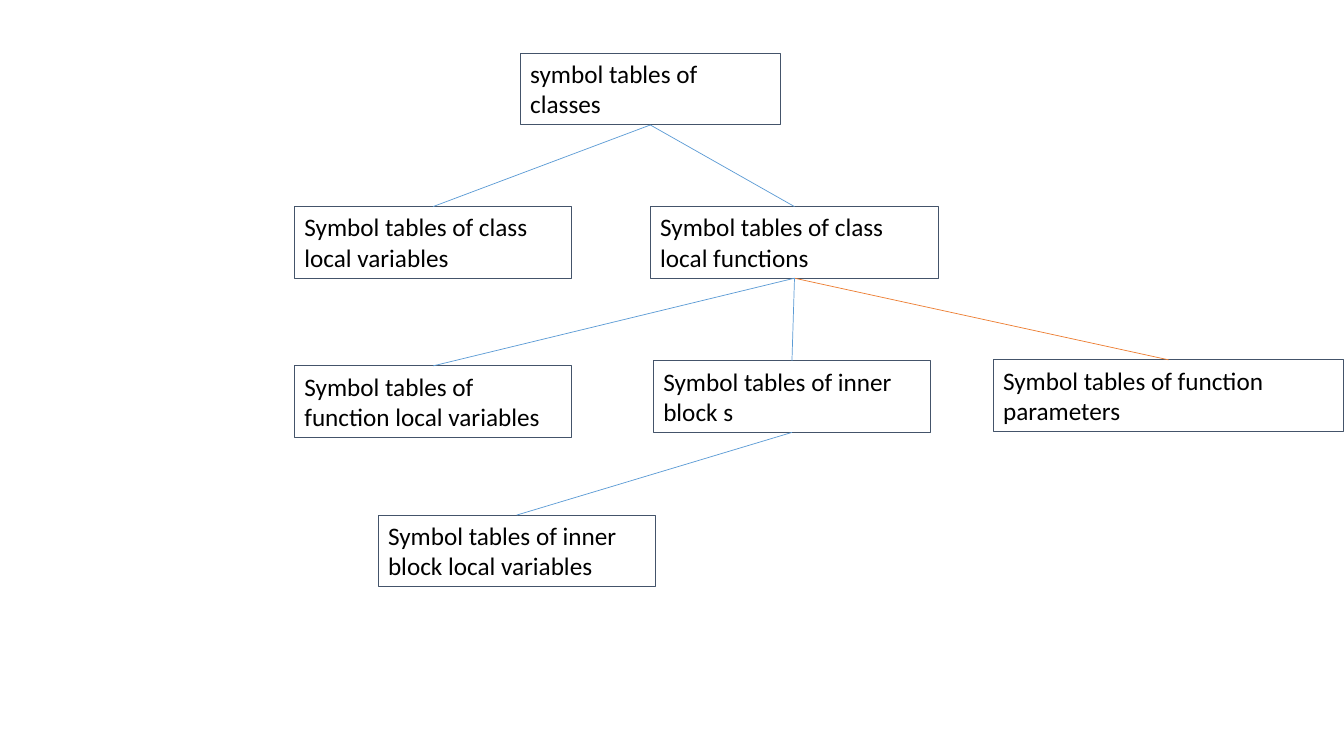
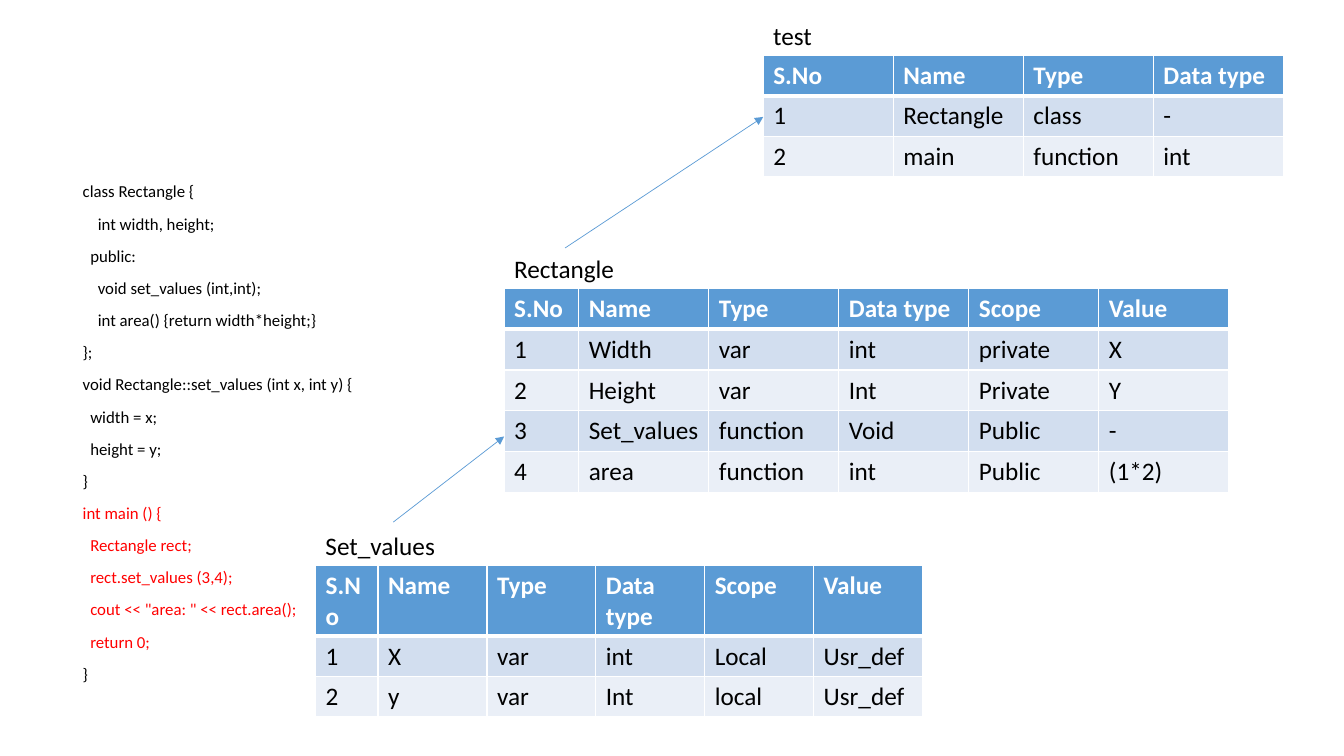
from lxml.etree import SubElement
from pptx import Presentation
from pptx.dml.color import RGBColor
from pptx.enum.shapes import MSO_CONNECTOR as CONN, MSO_SHAPE as SHAPE
from pptx.enum.text import MSO_ANCHOR as ANCHOR, MSO_AUTO_SIZE as AUTO, PP_ALIGN as ALIGN
from pptx.oxml.ns import qn
from pptx.util import Inches, Pt

# Shared look
FONT = "Calibri"
BLACK = RGBColor(0x00, 0x00, 0x00)
WHITE = RGBColor(0xFF, 0xFF, 0xFF)
RED = RGBColor(0xFF, 0x00, 0x00)
SLATE = RGBColor(0x44, 0x54, 0x6A)
BLUE = RGBColor(0x5B, 0x9B, 0xD5)
ORANGE = RGBColor(0xED, 0x7D, 0x31)
BANDS = (RGBColor(0xEA, 0xEF, 0xF7), RGBColor(0xD2, 0xDE, 0xEF))
BOX_H = 0.71
ROW_H = 0.4
LABEL_H = 0.4
FOUR_SPACES = Inches(0.15)
BOTTOM, TOP = 2, 0

# Tree: name -> (text, left, top, width)
NODES = {
    "classes": ("symbol tables of classes", 5.16, 0.53, 2.58),
    "functions": ("Symbol tables of class local functions", 6.45, 2.05, 2.86),
    "class vars": ("Symbol tables of class local variables", 2.92, 2.05, 2.75),
    "parameters": ("Symbol tables of function parameters", 9.85, 3.57, 3.48),
    "function vars": ("Symbol tables of function local variables", 2.92, 3.63, 2.75),
    "blocks": ("Symbol tables of inner block s", 6.48, 3.58, 2.75),
    "block vars": ("Symbol tables of inner block local variables", 3.75, 5.11, 2.75),
}
EDGES = [
    ("classes", "class vars", BLUE),
    ("classes", "functions", BLUE),
    ("functions", "function vars", BLUE),
    ("functions", "parameters", ORANGE),
    ("functions", "blocks", BLUE),
    ("blocks", "block vars", BLUE),
]

# Code lines: (indent in characters, text, colour)
CODE = [
    (0, "class Rectangle {", BLACK),
    (4, "int width, height;", BLACK),
    (2, "public:", BLACK),
    (4, "void set_values (int,int);", BLACK),
    (4, "int area() {return width*height;}", BLACK),
    (0, "};", BLACK),
    (0, "void Rectangle::set_values (int x, int y) {", BLACK),
    (2, "width = x;", BLACK),
    (2, "height = y;", BLACK),
    (0, "}", BLACK),
    (0, "int main () {", RED),
    (2, "Rectangle rect;", RED),
    (2, "rect.set_values (3,4);", RED),
    (2, 'cout << "area: " << rect.area();', RED),
    (2, "return 0;", RED),
    (0, "}", BLACK),
]

SHORT_HEAD = ("S.No", "Name", "Type", "Data type")
FULL_HEAD = SHORT_HEAD + ("Scope", "Value")
TABLES = [
    dict(label="Rectangle", label_w=1.21, wrap=False, left=5, top=2.86,
         cols=[0.74] + [1.29] * 5,
         rows=[FULL_HEAD,
               ("1", "Width", "var", "int", "private", "X"),
               ("2", "Height", "var", "Int", "Private", "Y"),
               ("3", "Set_values", "function", "Void", "Public", "-"),
               ("4", "area", "function", "int", "Public", "(1*2)")]),
    dict(label="Set_values", label_w=2.2, wrap=True, left=3.13, top=5.61,
         cols=[0.62] + [1.08] * 5,
         rows=[FULL_HEAD,
               ("1", "X", "var", "int", "Local", "Usr_def"),
               ("2", "y", "var", "Int", "local", "Usr_def")]),
    dict(label="test", label_w=0.59, wrap=False, left=7.57, top=0.55,
         cols=[1.29] * 4,
         rows=[SHORT_HEAD,
               ("1", "Rectangle", "class", "-"),
               ("2", "main", "function", "int")]),
]


def add_run(p, text, size=18, color=BLACK, bold=False):
    r = p.add_run()
    r.text = text
    r.font.name, r.font.size, r.font.bold = FONT, Pt(size), bold
    r.font.color.rgb = color


def add_line(s, start, end, color=BLUE, arrow=False):
    points = [Inches(v) for v in (*start, *end)]
    line = s.shapes.add_connector(CONN.STRAIGHT, *points)
    line.line.color.rgb = color
    line.line.width = Pt(0.5)
    if arrow:
        SubElement(line.line._get_or_add_ln(), qn("a:tailEnd"), type="triangle")
    SubElement(line._element.spPr, qn("a:effectLst"))
    return line


def add_node(s, text, left, top, width):
    sp = s.shapes.add_shape(SHAPE.RECTANGLE, Inches(left), Inches(top),
                            Inches(width), Inches(BOX_H))
    sp.shadow.inherit = False
    sp.fill.background()
    sp.line.color.rgb = SLATE
    sp.line.width = Pt(0.75)
    tf = sp.text_frame
    tf.word_wrap = True
    tf.auto_size = AUTO.SHAPE_TO_FIT_TEXT
    tf.vertical_anchor = ANCHOR.TOP
    tf.paragraphs[0].alignment = ALIGN.LEFT
    add_run(tf.paragraphs[0], text)
    return sp


def add_label(s, text, left, top, width, wrap):
    sp = s.shapes.add_textbox(Inches(left), Inches(top), Inches(width), Inches(LABEL_H))
    tf = sp.text_frame
    tf.word_wrap = wrap
    tf.auto_size = AUTO.SHAPE_TO_FIT_TEXT
    add_run(tf.paragraphs[0], text)
    return sp


def set_borders(cell, widths):
    tc_pr = cell._tc.get_or_add_tcPr()
    for side, width in widths.items():
        ln = SubElement(tc_pr, qn("a:ln" + side), w=str(Pt(width)))
        fill = SubElement(ln, qn("a:solidFill"))
        SubElement(fill, qn("a:srgbClr"), val=str(WHITE))


def add_symbol_table(s, left, top, cols, rows):
    frame = s.shapes.add_table(len(rows), len(cols), Inches(left), Inches(top),
                               Inches(sum(cols)), Inches(ROW_H * len(rows)))
    table = frame.table
    for col, width in zip(table.columns, cols):
        col.width = Inches(width)
    for i, row in enumerate(rows):
        table.rows[i].height = Inches(ROW_H)
        head = i == 0
        for j, text in enumerate(row):
            cell = table.cell(i, j)
            # The rule under the header is thicker
            set_borders(cell, {"L": 1, "R": 1, "T": 3 if i == 1 else 1, "B": 3 if head else 1})
            cell.fill.solid()
            cell.fill.fore_color.rgb = BLUE if head else BANDS[i % 2]
            add_run(cell.text_frame.paragraphs[0], text,
                    color=WHITE if head else BLACK, bold=head)


def add_code(s):
    body = s.placeholders[1]
    body.left, body.top = Inches(0.72), Inches(1.77)
    body.width, body.height = Inches(11.5), Inches(4.76)
    tf = body.text_frame
    tf.auto_size = AUTO.NONE
    tf.vertical_anchor = ANCHOR.TOP
    for i, (indent, text, color) in enumerate(CODE):
        p = tf.add_paragraph() if i else tf.paragraphs[0]
        p.line_spacing = 0.9
        p.space_before = Pt(10)
        p_pr = p._p.get_or_add_pPr()
        p_pr.set("marL", str(FOUR_SPACES * indent // 4))
        p_pr.set("indent", "0")
        SubElement(p_pr, qn("a:buNone"))
        add_run(p, text, 12, color)


def build_tree(prs):
    s = prs.slides.add_slide(prs.slide_layouts[6])
    boxes = {name: add_node(s, *node) for name, node in NODES.items()}
    for parent, child, color in EDGES:
        line = add_line(s, (0, 0), (1, 1), color)
        line.begin_connect(boxes[parent], BOTTOM)
        line.end_connect(boxes[child], TOP)


def build_tables(prs):
    s = prs.slides.add_slide(prs.slide_layouts[1])
    title = s.shapes.title._element
    title.getparent().remove(title)
    add_code(s)
    labels = {}
    for t in TABLES:
        add_symbol_table(s, t["left"], t["top"], t["cols"], t["rows"])
        labels[t["label"]] = add_label(s, t["label"], t["left"], t["top"] - LABEL_H,
                                       t["label_w"], t["wrap"])
    # Each table points to its parent's entry
    add_line(s, (3.9, 5.18), (5, 4.33), arrow=True)
    line = add_line(s, (5.6, 2.46), (7.57, 1.16), arrow=True)
    line.begin_connect(labels["Rectangle"], TOP)


def main():
    prs = Presentation()
    prs.slide_width, prs.slide_height = Inches(13.33), Inches(7.5)
    build_tree(prs)
    build_tables(prs)
    prs.save("out.pptx")


if __name__ == "__main__":
    main()
